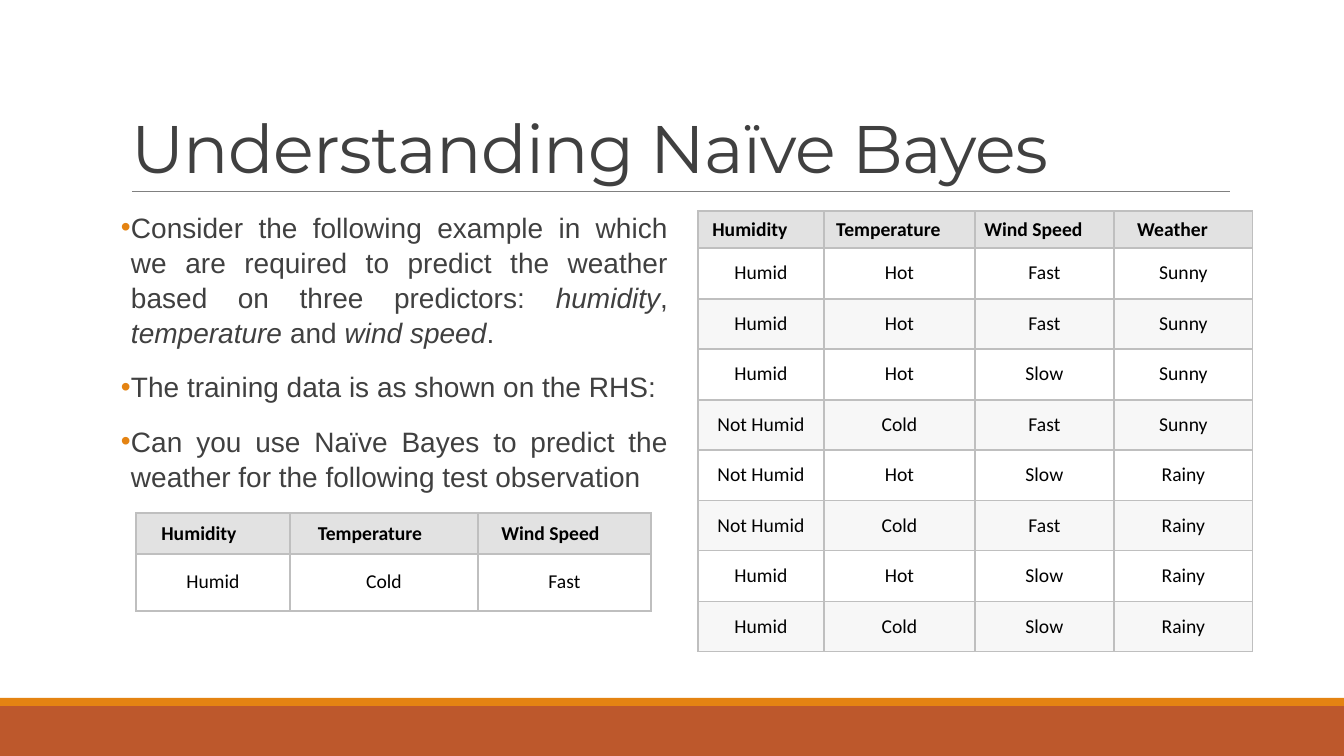
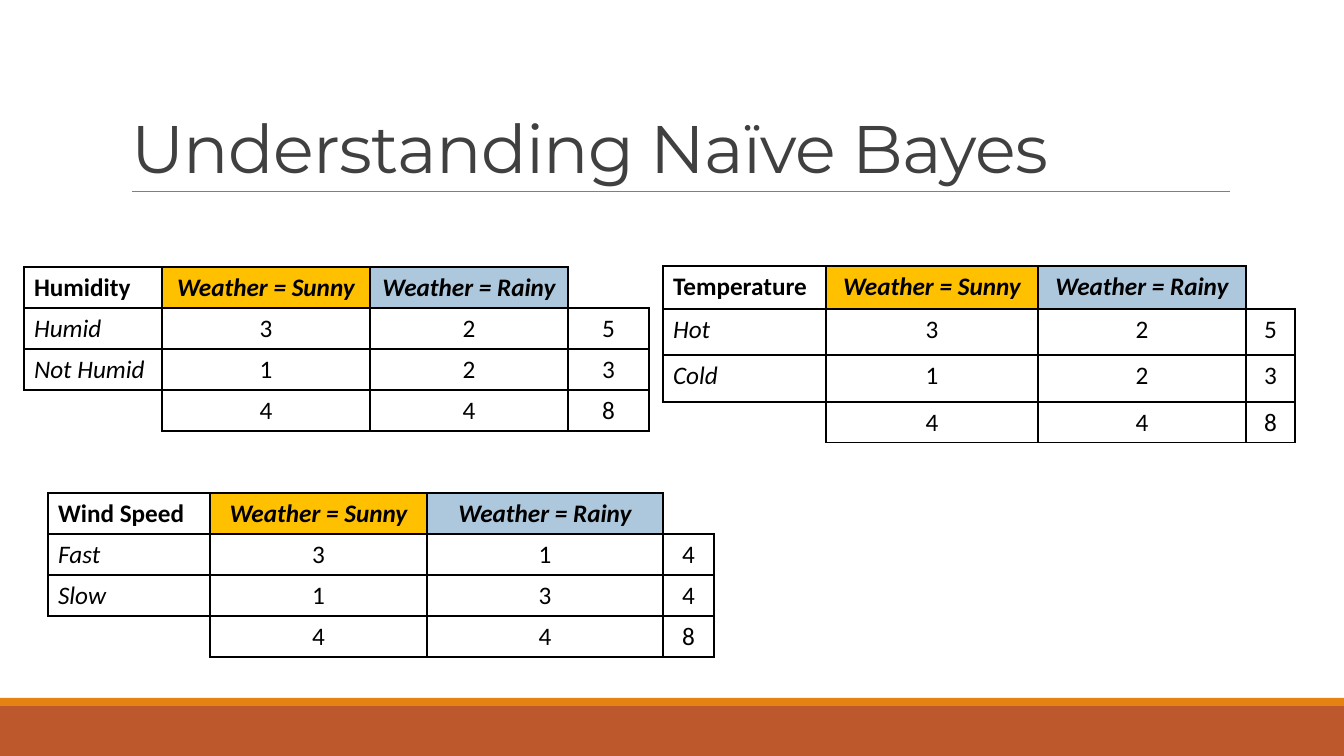
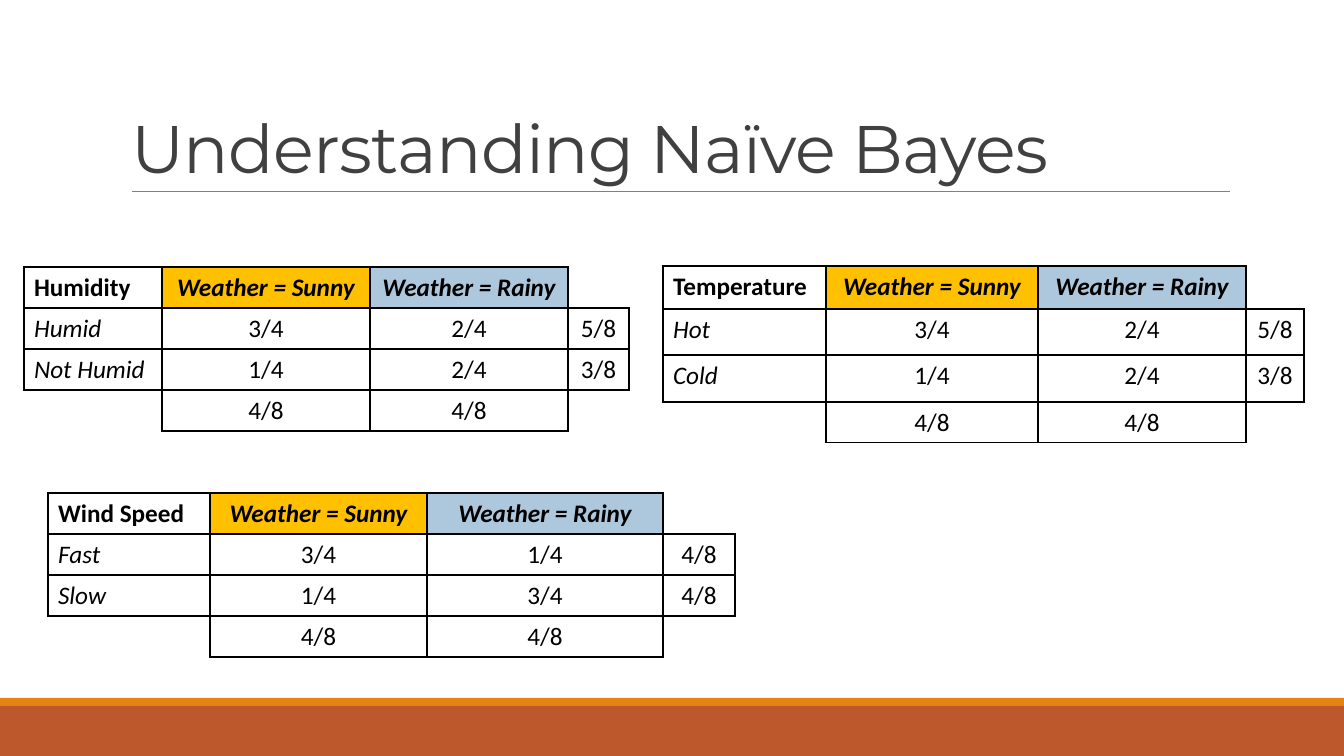
import lxml.etree
import pptx
import pptx.dml.color
import pptx.enum.shapes
import pptx.enum.text
import pptx.oxml.ns
import pptx.util

Pt = pptx.util.Pt
rgb = pptx.dml.color.RGBColor.from_string
qn = pptx.oxml.ns.qn
add = lxml.etree.SubElement
ALIGN = pptx.enum.text.PP_ALIGN
ANCHOR = pptx.enum.text.MSO_ANCHOR
FIXED = pptx.enum.text.MSO_AUTO_SIZE.NONE
PLAIN = "{2D5ABB26-0587-4C30-8999-92F81FD0307C}"  # table style: no style, no grid


class Theme:
    rust, amber, rule, text = "BD582C", "E48312", "808080", "404040"
    black, white, edge = "000000", "FFFFFF", "BFBFBF"
    head, stripe, sunny, rainy = "E2E2E2", "F7F7F7", "FFC000", "ADC8DD"
    title_font, body_font, cell_font = "Montserrat", "Arial", "Calibri"
    title_size, body_size, tally_size, data_size = Pt(48), Pt(20), Pt(18), Pt(14)


def px(num):
    return round(num * 914400 / 100.8)


def table(slide, x, y, cols, rows, cells, size, line, fill):
    """Draw centred cells; a blank cell keeps only the edges it shares."""
    frame = slide.shapes.add_table(len(rows), len(cols), px(x), px(y),
                                   px(sum(cols)), px(sum(rows)))
    grid = frame.table
    grid.first_row = grid.horz_banding = False
    next(frame.element.iter(qn("a:tableStyleId"))).text = PLAIN
    for col, width in zip(grid.columns, cols):
        col.width = px(width)
    for row, height in zip(grid.rows, rows):
        row.height = px(height)
    for r, words in enumerate(cells):
        for c, word in enumerate(words):
            cell = grid.cell(r, c)
            cell.text = word
            para = cell.text_frame.paragraphs[0]
            para.alignment = ALIGN.CENTER
            para.font.name, para.font.size = Theme.cell_font, size
            para.font.color.rgb = rgb(Theme.black)
            para.font.bold = r == 0
            sides = "LRTB" if word else "LB" if r == 0 else "RT" if c == 0 else "LT"
            props = cell._tc.get_or_add_tcPr()
            for side in sides:
                edge = add(props, qn("a:ln" + side), w=str(Pt(1)))
                paint = add(edge, qn("a:solidFill"))
                add(paint, qn("a:srgbClr"), val=line)
            color = fill(r, c)
            if color:
                cell.fill.solid()
                cell.fill.fore_color.rgb = rgb(color)
            else:
                cell.fill.background()
    return grid


deck = pptx.Presentation()
deck.slide_width, deck.slide_height = px(1344), px(756)
listed, titled = deck.slide_layouts[1], deck.slide_layouts[5]
slides = [deck.slides.add_slide(layout) for layout in (listed, titled, titled)]
intro = slides[0]

# Bands and title rule, moved to the master
parts = []
for top, height, color in ((706, 50, Theme.rust), (698, 8, Theme.amber)):
    band = intro.shapes.add_shape(pptx.enum.shapes.MSO_SHAPE.RECTANGLE,
                                  px(0), px(top), px(1344), px(height))
    band.shadow.inherit = False
    band.fill.solid()
    band.fill.fore_color.rgb = rgb(color)
    band.line.fill.background()
    parts.append(band)
rule = intro.shapes.add_connector(pptx.enum.shapes.MSO_CONNECTOR.STRAIGHT,
                                  px(132), px(191), px(1230), px(191))
rule.line.color.rgb = rgb(Theme.rule)
rule.line.width = Pt(0.5)
add(rule.element.spPr, qn("a:effectLst"))
parts.append(rule)
for i, part in enumerate(parts):
    part.element[0][0].set("id", str(20 + i))
    deck.slide_master.shapes.element.insert(2 + i, part.element)

# Titles
for slide in slides:
    title = slide.shapes.title
    title.left, title.top, title.width, title.height = map(px, (121, 31, 1109, 161))
    frame = title.text_frame
    frame.text = "Understanding Naïve Bayes"
    frame.auto_size, frame.vertical_anchor = FIXED, ANCHOR.BOTTOM
    para = frame.paragraphs[0]
    para.alignment, para.line_spacing = ALIGN.LEFT, 0.85
    para.font.name, para.font.size = Theme.title_font, Theme.title_size
    para.font.color.rgb = rgb(Theme.text)
    para.font._rPr.set("spc", "-50")

# Slide 1: question, training data and test case
points = (
    "Consider the following example in which we are required to predict the weather "
    "based on three predictors: *humidity*, *temperature* and *wind speed*.",
    "The training data is as shown on the RHS:",
    "Can you use Naïve Bayes to predict the weather for the following test observation",
)
body = intro.placeholders[1]
body.left, body.top, body.width, body.height = map(px, (121, 204, 547, 489))
frame = body.text_frame
frame.auto_size, frame.word_wrap = FIXED, True
frame.margin_left = frame.margin_right = 0
for i, point in enumerate(points):
    para = frame.add_paragraph() if i else frame.paragraphs[0]
    for k, piece in enumerate(point.split("*")):
        run = para.add_run()
        run.text = piece
        if k % 2:
            run.font.italic = True
    props = para._p.get_or_add_pPr()
    props.set("marL", str(px(10)))
    props.set("indent", str(-px(10)))
    add(add(props, qn("a:buClr")), qn("a:srgbClr"), val=Theme.amber)
    add(props, qn("a:buChar"), char="•")
    para.alignment, para.line_spacing = ALIGN.JUSTIFY, 1.04
    para.space_before, para.space_after = Pt(12), Pt(2)
    para.font.name, para.font.size = Theme.body_font, Theme.body_size
    para.font.color.rgb = rgb(Theme.text)

heads = ["Humidity", "Temperature", "Wind Speed", "Weather"]
train = [
    ["Humid", "Hot", "Fast", "Sunny"],
    ["Humid", "Hot", "Fast", "Sunny"],
    ["Humid", "Hot", "Slow", "Sunny"],
    ["Not Humid", "Cold", "Fast", "Sunny"],
    ["Not Humid", "Hot", "Slow", "Rainy"],
    ["Not Humid", "Cold", "Fast", "Rainy"],
    ["Humid", "Hot", "Slow", "Rainy"],
    ["Humid", "Cold", "Slow", "Rainy"],
]
test = [["Humid", "Cold", "Fast"]]
# x, y, columns, rows, cells, then head side, head right, head top and cell insets
sets = (
    (698, 211, (126, 151, 139, 139), [37] + [51, 50] * 4, [heads] + train, 7, 29, 6, 13),
    (136, 513, (154, 188, 173), [41, 57], [heads[:3]] + test, 8, 36, 8, 16),
)
for x, y, cols, rows, cells, side, right, top, inset in sets:
    grid = table(intro, x, y, cols, rows, cells, Theme.data_size, Theme.edge,
                 lambda r, c: Theme.head if r == 0 else Theme.white if r % 2 else Theme.stripe)
    for r in range(len(rows)):
        for c in range(len(cols)):
            cell = grid.cell(r, c)
            pads = (inset,) * 4 if r else (side, right, top, top)
            (cell.margin_left, cell.margin_right,
             cell.margin_top, cell.margin_bottom) = map(px, pads)
            cell.vertical_anchor = ANCHOR.TOP if r else ANCHOR.MIDDLE

# Slides 2 and 3: counts, then shares, of each predictor by weather
# x, y, columns, width of the totals on each slide, rows, name, counts
tallies = (
    (24, 267, (138, 208, 198), (81, 61), (41, 41, 41, 41),
     "Humidity", {"Humid": (3, 2), "Not Humid": (1, 2)}),
    (663, 266, (163, 212, 208), (49, 58), (43, 46, 47, 40),
     "Temperature", {"Hot": (3, 2), "Cold": (1, 2)}),
    (48, 493, (162, 217, 236), (51, 72), (41, 41, 41, 41),
     "Wind Speed", {"Fast": (3, 1), "Slow": (1, 3)}),
)
tints = (None, Theme.sunny, Theme.rainy, None)
for share, slide in enumerate(slides[1:]):
    for x, y, cols, ends, rows, name, counts in tallies:
        sums = [sum(pair) for pair in zip(*counts.values())]
        total = sum(sums)
        whole = f"/{total}" if share else ""
        cells = [[name, "Weather = Sunny", "Weather = Rainy", ""]]
        for label, pair in counts.items():
            parts = [f"{n}/{s}" if share else str(n) for n, s in zip(pair, sums)]
            cells.append([label, *parts, f"{sum(pair)}{whole}"])
        cells.append(["", *(f"{s}{whole}" for s in sums), "" if share else str(total)])
        grid = table(slide, x, y, (*cols, ends[share]), rows, cells, Theme.tally_size,
                     Theme.black, lambda r, c: None if r else tints[c])
        for r in range(len(rows)):
            label = grid.cell(r, 0).text_frame.paragraphs[0]
            label.alignment, label.font.italic = ALIGN.LEFT, r > 0
        for c in (1, 2):
            grid.cell(0, c).text_frame.paragraphs[0].font.italic = True

deck.save("out.pptx")
